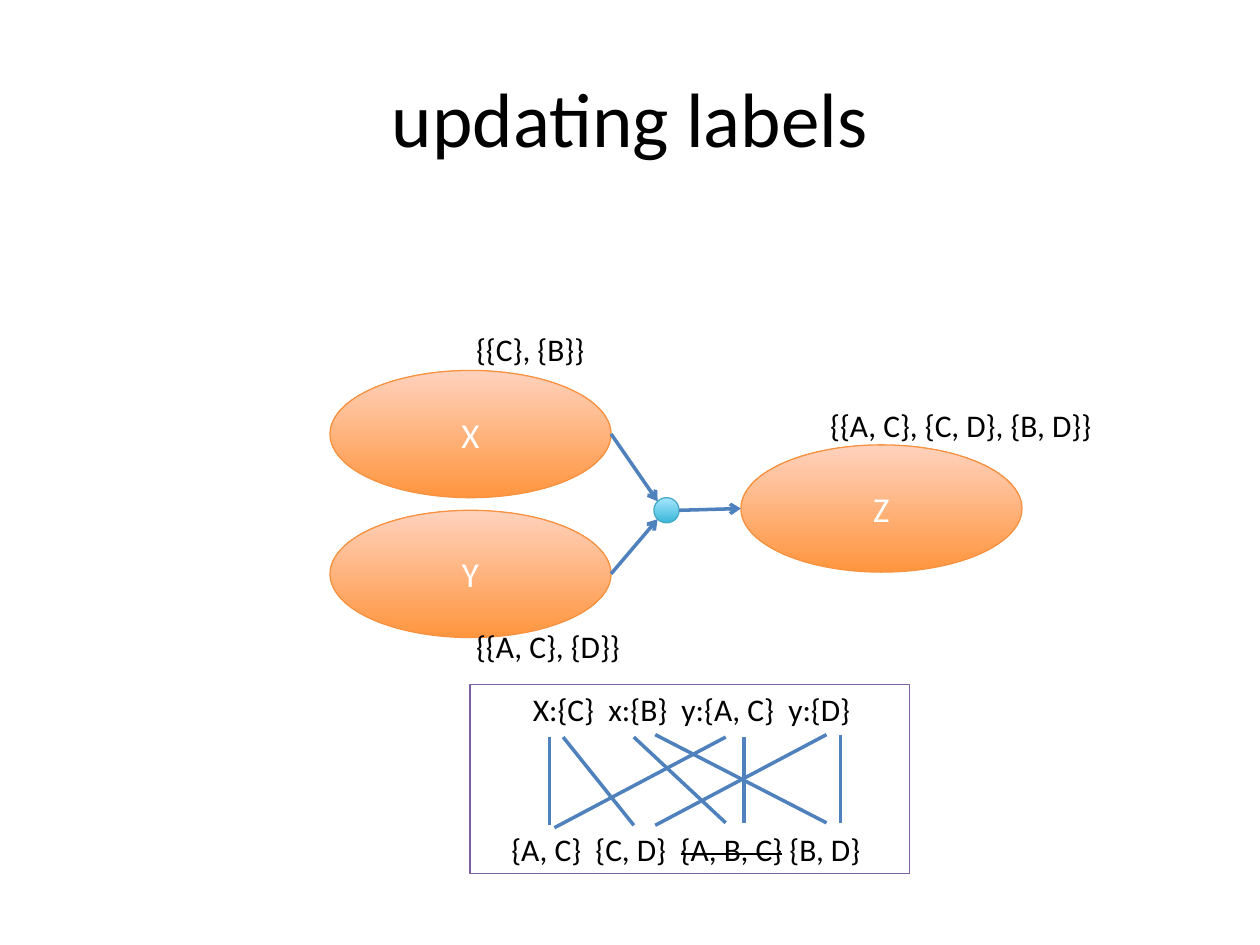
from lxml.etree import SubElement
from pptx import Presentation
from pptx.dml.color import RGBColor
from pptx.enum.shapes import MSO_CONNECTOR, MSO_SHAPE
from pptx.enum.text import MSO_ANCHOR, MSO_AUTO_SIZE, PP_ALIGN
from pptx.oxml.ns import qn
from pptx.util import Pt

FONT = "Calibri"
COLORS = {
    "text": "000000",
    "node_text": "FFFFFF",
    "orange_dark": "FF953E",
    "orange_light": "FFD2BD",
    "orange_line": "F69240",
    "cyan_dark": "39B7D8",
    "cyan_light": "A7E6FF",
    "cyan_line": "46AAC5",
    "link": "4F81BD",
    "frame": "7D60A0",
}
NODE_W, NODE_H = 160.6, 72.7
DOT = 14.4


def rgb(name):
    return RGBColor.from_string(COLORS[name])


def set_font(p, size, color):
    p.font.name = FONT
    p.font.size = Pt(size)
    p.font.color.rgb = rgb(color)


def add_title(slide, text):
    s = slide.shapes.add_textbox(Pt(36), Pt(21.6), Pt(648), Pt(90))
    tf = s.text_frame
    tf.word_wrap = True
    tf.vertical_anchor = MSO_ANCHOR.MIDDLE
    p = tf.paragraphs[0]
    p.text = text
    p.alignment = PP_ALIGN.CENTER
    set_font(p, 44, "text")


def add_label(slide, x, y, w, runs, wrap=True):
    s = slide.shapes.add_textbox(Pt(x), Pt(y), Pt(w), Pt(29))
    tf = s.text_frame
    tf.word_wrap = wrap
    tf.auto_size = MSO_AUTO_SIZE.SHAPE_TO_FIT_TEXT
    p = tf.paragraphs[0]
    set_font(p, 18, "text")
    for text, struck in runs:
        r = p.add_run()
        r.text = text
        if struck:
            r.font._element.set("strike", "sngStrike")


def add_ellipse(slide, x, y, w, h, hue, text=""):
    s = slide.shapes.add_shape(MSO_SHAPE.OVAL, Pt(x), Pt(y), Pt(w), Pt(h))
    s.shadow.inherit = False
    s.fill.gradient()
    s.fill.gradient_angle = 90
    for stop, position, tone in zip(s.fill.gradient_stops, (0, 1), ("dark", "light")):
        stop.position = position
        stop.color.rgb = rgb(f"{hue}_{tone}")
    s.line.color.rgb = rgb(f"{hue}_line")
    s.line.width = Pt(0.75)
    if text:
        tf = s.text_frame
        tf.word_wrap = False
        tf.vertical_anchor = MSO_ANCHOR.MIDDLE
        p = tf.paragraphs[0]
        p.text = text
        p.alignment = PP_ALIGN.CENTER
        set_font(p, 20, "node_text")


def add_link(slide, x1, y1, x2, y2, arrow=False):
    s = slide.shapes.add_connector(
        MSO_CONNECTOR.STRAIGHT, Pt(x1), Pt(y1), Pt(x2), Pt(y2))
    s.line.color.rgb = rgb("link")
    s.line.width = Pt(2)
    if arrow:
        SubElement(s.line._get_or_add_ln(), qn("a:tailEnd"), type="arrow")
    SubElement(s._element.spPr, qn("a:effectLst"))


def add_frame(slide, x, y, w, h):
    s = slide.shapes.add_shape(MSO_SHAPE.RECTANGLE, Pt(x), Pt(y), Pt(w), Pt(h))
    s.shadow.inherit = False
    s.fill.background()
    s.line.color.rgb = rgb("frame")
    s.line.width = Pt(0.75)


def main():
    prs = Presentation()
    prs.slide_width, prs.slide_height = Pt(720), Pt(540)
    slide = prs.slides.add_slide(prs.slide_layouts[6])

    add_title(slide, "updating labels")
    for text, x, y in (("X", 188.6, 211.7), ("Y", 188.6, 291.6), ("Z", 423.4, 254.2)):
        add_ellipse(slide, x, y, NODE_W, NODE_H, "orange", text)
    add_ellipse(slide, 373.7, 284.4, DOT, DOT, "cyan")

    for ends in (
        (349.2, 248, 375.8, 286.5),
        (349.2, 327.9, 375.8, 296.7),
        (388.1, 291.6, 423.4, 290.6),
    ):
        add_link(slide, *ends, arrow=True)

    add_label(slide, 265, 355, 98.6, [("{{A, C}, {D}}", False)], wrap=False)
    add_label(slide, 265, 185, 77, [("{{C}, {B}}", False)], wrap=False)
    add_label(slide, 467.3, 228.5, 168, [("{{A, C}, {C, D}, {B, D}}", False)])
    add_label(slide, 297.4, 391, 206, [("X:{C}  x:{B}  y:{A, C}  y:{D}", False)])
    add_label(slide, 285.1, 470.5, 234.7, [
        ("{A, C}  {C, D}  ", False), ("{A, B, C}", True), (" {B, D}", False)])

    for ends in (
        (313.9, 471.6, 313.9, 421.2),
        (362.2, 471.6, 321.8, 421.2),
        (414.7, 470.2, 362.2, 421.2),
        (425.2, 470.2, 425.2, 421.2),
        (472.3, 470.2, 374.4, 419.8),
        (374.4, 471.6, 472.3, 419.8),
        (316.8, 473, 414.7, 421.2),
        (480.2, 470.2, 480.2, 419.8),
    ):
        add_link(slide, *ends)
    add_frame(slide, 268.6, 391, 251.3, 108)

    prs.save("out.pptx")


if __name__ == "__main__":
    main()
